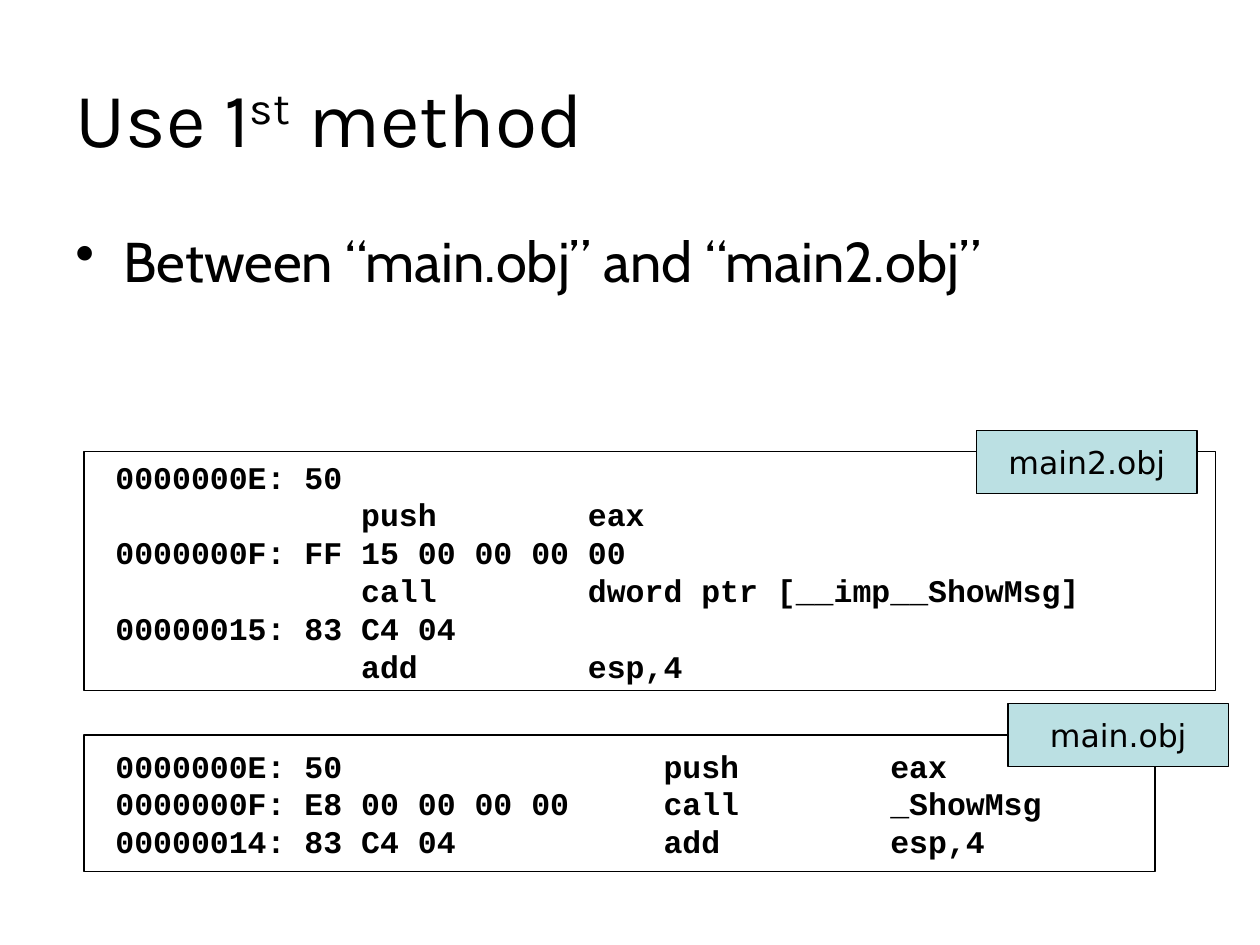
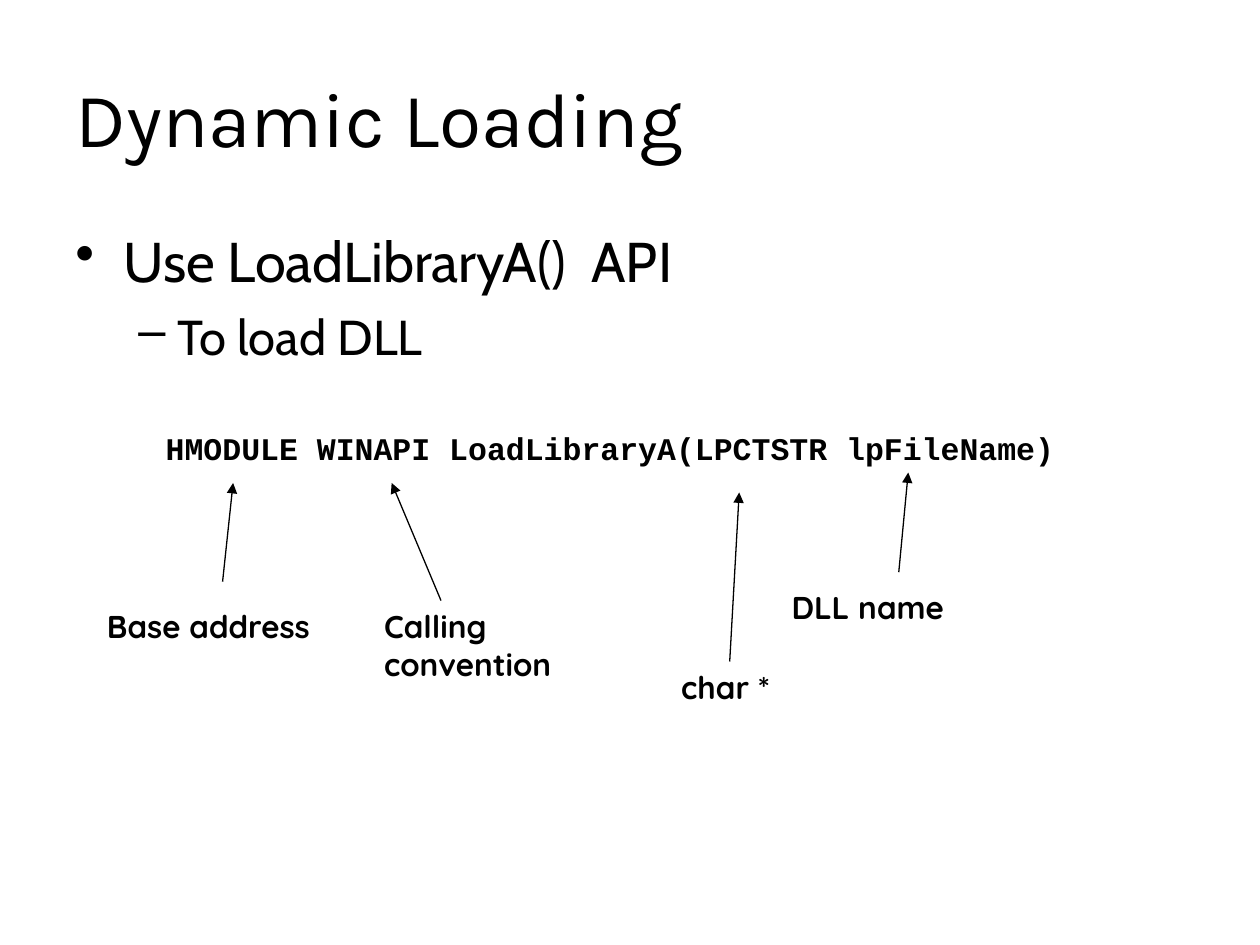
from lxml import etree
from pptx import Presentation
from pptx.dml.color import RGBColor
from pptx.enum.shapes import MSO_CONNECTOR, MSO_SHAPE
from pptx.enum.text import MSO_ANCHOR, MSO_AUTO_SIZE, PP_ALIGN
from pptx.oxml.ns import qn
from pptx.util import Inches, Pt

RECT, STRAIGHT = MSO_SHAPE.RECTANGLE, MSO_CONNECTOR.STRAIGHT
TOP, MIDDLE = MSO_ANCHOR.TOP, MSO_ANCHOR.MIDDLE
LEFT, CENTER = PP_ALIGN.LEFT, PP_ALIGN.CENTER
BLACK = RGBColor(0x00, 0x00, 0x00)
TAG_BLUE = RGBColor(0xBB, 0xE0, 0xE3)
TITLE_FONT, BODY_FONT, NOTE_FONT = "Karla", "Cabin", "Quicksand"
CODE_FONT, TAG_FONT = "Courier New", "DejaVu Sans"
CHAR = Inches(0.15)  # width of one code character at 18 pt

prs = Presentation()
prs.slide_width, prs.slide_height = Inches(10), Inches(7.5)
CELL = prs.slide_width / 120  # square grid of 120 columns by 90 rows


def grid(*cells):
    return [round(c * CELL) for c in cells]


def write(sp, text, font, size, bold=False, align=LEFT, anchor=TOP):
    tf = sp.text_frame
    tf.text = text
    tf.word_wrap = True
    tf.auto_size = MSO_AUTO_SIZE.NONE
    tf.vertical_anchor = anchor
    for p in tf.paragraphs:
        p.alignment = align
        for r in p.runs:
            r.font.name, r.font.size, r.font.bold = font, Pt(size), bold
            r.font.color.rgb = BLACK
    return tf


# Titles and bullets: (level, text) pairs; bullet styles by level
LEVELS = [("•", 32, 8, 0.38, -0.38), ("–", 28, 7, 0.81, -0.31)]
PAGES = [
    ("Use 1st method", [(0, "Between “main.obj” and “main2.obj”")], 10.8),
    ("Dynamic Loading", [(0, "Use LoadLibraryA()  API"), (1, "To load DLL")], 59.4),
]
for title, bullets, rows in PAGES:
    s = prs.slides.add_slide(prs.slide_layouts[5])
    sp = s.shapes.title
    sp.left, sp.top, sp.width, sp.height = grid(6, 3.6, 108, 15)
    write(sp, title, TITLE_FONT, 44, anchor=MIDDLE)

    sp = s.shapes.add_textbox(*grid(6, 21, 108, rows))
    tf = write(sp, "\n".join(text for _, text in bullets), BODY_FONT, 32)
    for p, (level, _) in zip(tf.paragraphs, bullets):
        char, size, before, margin, indent = LEVELS[level]
        p.level = level
        p.space_before = Pt(before)
        p.runs[0].font.size = Pt(size)
        pPr = p._p.get_or_add_pPr()
        pPr.set("marL", str(Inches(margin)))
        pPr.set("indent", str(Inches(indent)))
        etree.SubElement(pPr, qn("a:buChar"), char=char)

method, loading = prs.slides

# Raised ordinal in the first title
p = method.shapes.title.text_frame.paragraphs[0]
p.runs[0].text = "Use 1"
for text, baseline in [("st", "30000"), (" method", "0")]:
    r = p.add_run()
    r.text = text
    r.font.name, r.font.size, r.font.color.rgb = TITLE_FONT, Pt(44), BLACK
    r.font._element.set("baseline", baseline)

# Disassembly listings: box, anchor, tab columns in characters, code
LISTINGS = [
    ((8, 43, 107.8, 22.8), TOP, (13, 25),
     "0000000E: 50\n\tpush\teax\n"
     "0000000F: FF 15 00 00 00 00\n\tcall\tdword ptr [__imp__ShowMsg]\n"
     "00000015: 83 C4 04\n\tadd\tesp,4"),
    ((8, 70, 102, 13), MIDDLE, (29, 41),
     "0000000E: 50\tpush\teax\n"
     "0000000F: E8 00 00 00 00\tcall\t_ShowMsg\n"
     "00000014: 83 C4 04\tadd\tesp,4"),
]
for box, anchor, columns, code in LISTINGS:
    sp = method.shapes.add_shape(RECT, *grid(*box))
    sp.shadow.inherit = False
    sp.fill.background()
    sp.line.color.rgb, sp.line.width = BLACK, Pt(0.75)
    tf = write(sp, code, CODE_FONT, 18, bold=True, anchor=anchor)
    tf.margin_left = Inches(0.1) + CHAR
    for p in tf.paragraphs:
        tabs = etree.SubElement(p._p.get_or_add_pPr(), qn("a:tabLst"))
        for column in columns:
            etree.SubElement(tabs, qn("a:tab"), pos=str(column * CHAR), algn="l")

# File name tags on the listings
for name, x, y in [("main2.obj", 93, 41), ("main.obj", 96, 67)]:
    sp = method.shapes.add_shape(RECT, *grid(x, y, 21, 6))
    sp.shadow.inherit = False
    sp.fill.solid()
    sp.fill.fore_color.rgb = TAG_BLUE
    sp.line.color.rgb, sp.line.width = BLACK, Pt(0.75)
    write(sp, name, TAG_FONT, 18, align=CENTER, anchor=MIDDLE)

# Function signature
sp = loading.shapes.add_textbox(*grid(14.6, 40.3, 98.5, 4.8))
write(sp, "HMODULE WINAPI LoadLibraryA(LPCTSTR lpFileName)", CODE_FONT, 18, bold=True)

# Notes with arrows to the signature: text, left, top, height, arrow ends
NOTES = [
    ("Base address", 9, 57.2, 4.8, (21.2, 55.4, 22.2, 46)),
    ("DLL name", 74.2, 55.4, 4.8, (85.6, 54.5, 86.5, 45)),
    ("Calling convention", 35.4, 57.2, 8.4, (42, 57.2, 37.3, 46)),
    ("char *", 63.7, 63, 4.8, (69.5, 63, 70.4, 46.9)),
]
for text, x, y, height, ends in NOTES:
    sp = loading.shapes.add_textbox(*grid(x, y, 23.6, height))
    write(sp, text, NOTE_FONT, 18, bold=True)
    arrow = loading.shapes.add_connector(STRAIGHT, *grid(*ends))
    arrow.line.color.rgb, arrow.line.width = BLACK, Pt(0.75)
    etree.SubElement(arrow.line._get_or_add_ln(), qn("a:tailEnd"), type="triangle")
    etree.SubElement(arrow._element.spPr, qn("a:effectLst"))

prs.save("out.pptx")
